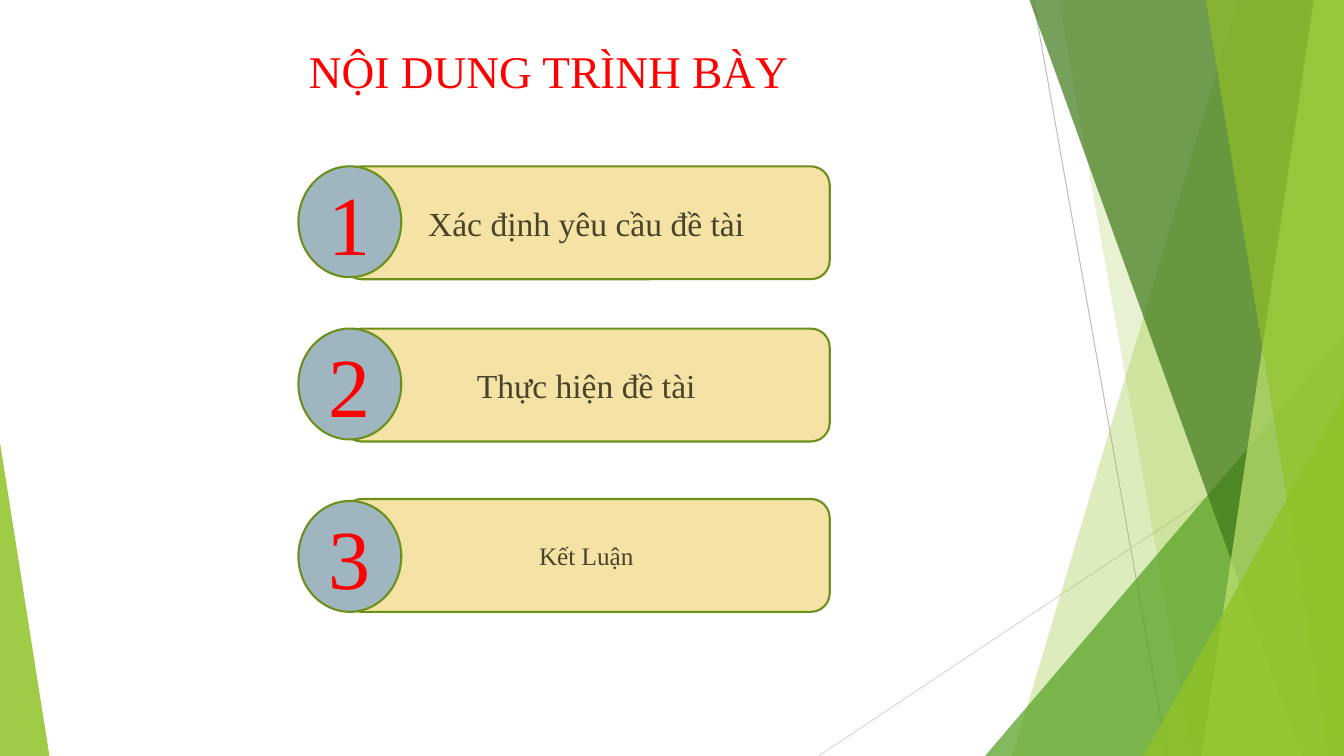
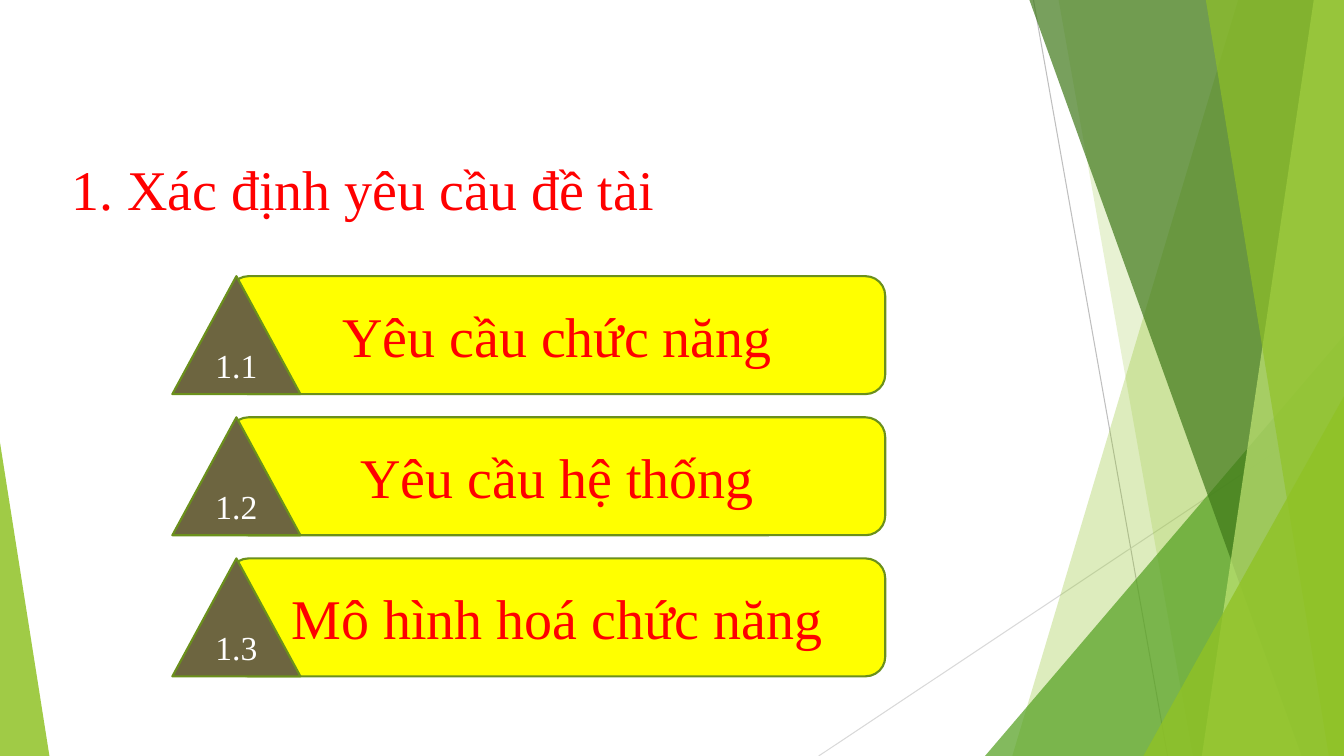
from lxml.etree import SubElement
from pptx import Presentation
from pptx.dml.color import RGBColor
from pptx.enum.shapes import MSO_CONNECTOR, MSO_SHAPE
from pptx.enum.text import MSO_ANCHOR, PP_ALIGN
from pptx.oxml.ns import qn
from pptx.util import Inches, Pt

COLORS = {
    "lime": "90C226",
    "green": "54A021",
    "forest": "3F7819",
    "pale": "C0E474",
    "outline": "6B901C",
    "ray": "BFBFBF",
    "light_ray": "D9D9D9",
    "sand": "F5E3A5",
    "slate": "9FB6C0",
    "ink": "48432A",
    "red": "FF0000",
    "yellow": "FFFF00",
    "olive": "6D6540",
    "white": "FFFFFF",
}
FONT = "Times New Roman"
WIDTH, HEIGHT = 13.33, 7.5


def rgb(name):
    return RGBColor.from_string(COLORS[name])


def paint(shape, fill, opacity=None, outline=None):
    """Set fill, opacity in percent and outline, without shadow."""
    shape.shadow.inherit = False
    shape.fill.solid()
    shape.fill.fore_color.rgb = rgb(fill)
    if opacity is not None:
        color = shape.fill._xPr.find(qn("a:solidFill"))[0]
        SubElement(color, qn("a:alpha"), val=str(opacity * 1000))
    if outline:
        shape.line.color.rgb = rgb(outline)
        shape.line.width = Pt(1.5)
    else:
        shape.line.fill.background()


def write(shape, text, *, size, color, align=PP_ALIGN.CENTER, anchor=MSO_ANCHOR.MIDDLE):
    frame = shape.text_frame
    frame.word_wrap = True
    frame.vertical_anchor = anchor
    paragraph = frame.paragraphs[0]
    paragraph.alignment = align
    run = paragraph.add_run()
    run.text = text
    run.font.name = FONT
    run.font.size = Pt(size)
    run.font.color.rgb = rgb(color)


def add_preset(slide, kind, box, fill, **style):
    shape = slide.shapes.add_shape(kind, *map(Inches, box))
    paint(shape, fill, **style)
    return shape


def add_ray(slide, start, end, color):
    ray = slide.shapes.add_connector(MSO_CONNECTOR.STRAIGHT, *map(Inches, start + end))
    ray.line.color.rgb = rgb(color)
    ray.line.width = Pt(0.75)
    SubElement(ray._element.spPr, qn("a:effectLst"))


def add_band(slide, top_x, bottom_x, fill, opacity):
    """Draw a full-height band from a slanted left edge to the slide's right edge."""
    builder = slide.shapes.build_freeform(Inches(top_x), 0)
    corners = [(WIDTH, 0), (WIDTH, HEIGHT), (bottom_x, HEIGHT)]
    builder.add_line_segments([(Inches(x), Inches(y)) for x, y in corners], close=True)
    paint(builder.convert_to_shape(), fill, opacity)


def add_corner(slide, left, top, width, fill, opacity, apex=1):
    """Draw a triangle on the bottom edge; apex 0 is left, 1 is right."""
    box = (left, top, width, HEIGHT - top)
    corner = add_preset(slide, MSO_SHAPE.ISOSCELES_TRIANGLE, box, fill, opacity=opacity)
    corner.adjustments[0] = apex


def add_backdrop(slide):
    add_ray(slide, (10.25, 0), (11.58, HEIGHT), "ray")
    add_ray(slide, (WIDTH, 4.03), (8.12, HEIGHT), "light_ray")
    add_band(slide, 12.28, 10.04, "lime", 30)
    add_band(slide, 10.5, 11.83, "lime", 20)
    add_corner(slide, 9.77, 3.33, 3.56, "green", 72)
    add_band(slide, 10.21, 12.91, "forest", 70)
    add_band(slide, 13.03, 11.92, "pale", 70)
    add_band(slide, 11.96, 13.18, "lime", 65)
    add_corner(slide, 11.34, 3.93, 1.99, "lime", 80)
    add_corner(slide, 0, 4.39, 0.49, "lime", 85, apex=0)


def add_title(slide, text, box, size, align):
    title = slide.shapes.add_textbox(*map(Inches, box))
    write(title, text, size=size, color="red", align=align, anchor=MSO_ANCHOR.TOP)


def add_bar(slide, text, box, fill, size, color):
    bar = add_preset(slide, MSO_SHAPE.ROUNDED_RECTANGLE, box, fill, outline="outline")
    write(bar, text, size=size, color=color)


def add_badge(slide, text, kind, box, fill, size, color):
    badge = add_preset(slide, kind, box, fill, outline="outline")
    write(badge, text, size=size, color=color)


def add_slide(presentation):
    slide = presentation.slides.add_slide(presentation.slide_layouts[6])
    add_backdrop(slide)
    return slide


def build_agenda(presentation):
    slide = add_slide(presentation)
    add_title(slide, "NỘI DUNG TRÌNH BÀY", (0.74, 0.38, 9.4, 0.7), 32.4, PP_ALIGN.CENTER)
    topics = [
        ("Xác định yêu cầu đề tài", 24, 1.65, 1.65),
        ("Thực hiện đề tài", 24, 3.26, 3.26),
        ("Kết Luận", 18, 4.95, 4.97),
    ]
    for number, (topic, size, bar_top, badge_top) in enumerate(topics, 1):
        add_bar(slide, topic, (3.4, bar_top, 4.83, 1.12), "sand", size, "ink")
        add_badge(slide, str(number), MSO_SHAPE.OVAL, (2.96, badge_top, 1.02, 1.1),
                  "slate", 60, "red")


def build_requirements(presentation):
    slide = add_slide(presentation)
    add_title(slide, "1. Xác định yêu cầu đề tài", (0.61, 1.48, 9.4, 0.95), 40, PP_ALIGN.LEFT)
    sections = ["Yêu cầu chức năng", "Yêu cầu hệ thống", "Mô hình hoá chức năng"]
    for index, section in enumerate(sections):
        top = 2.74 + 1.4 * index
        add_bar(slide, section, (2.27, top, 6.51, 1.17), "yellow", 40, "red")
        add_badge(slide, f"1.{index + 1}", MSO_SHAPE.ISOSCELES_TRIANGLE,
                  (1.71, top, 1.27, 1.17), "olive", 24, "white")


def main():
    presentation = Presentation()
    presentation.slide_width = Inches(WIDTH)
    presentation.slide_height = Inches(HEIGHT)
    build_agenda(presentation)
    build_requirements(presentation)
    presentation.save("out.pptx")


if __name__ == "__main__":
    main()
